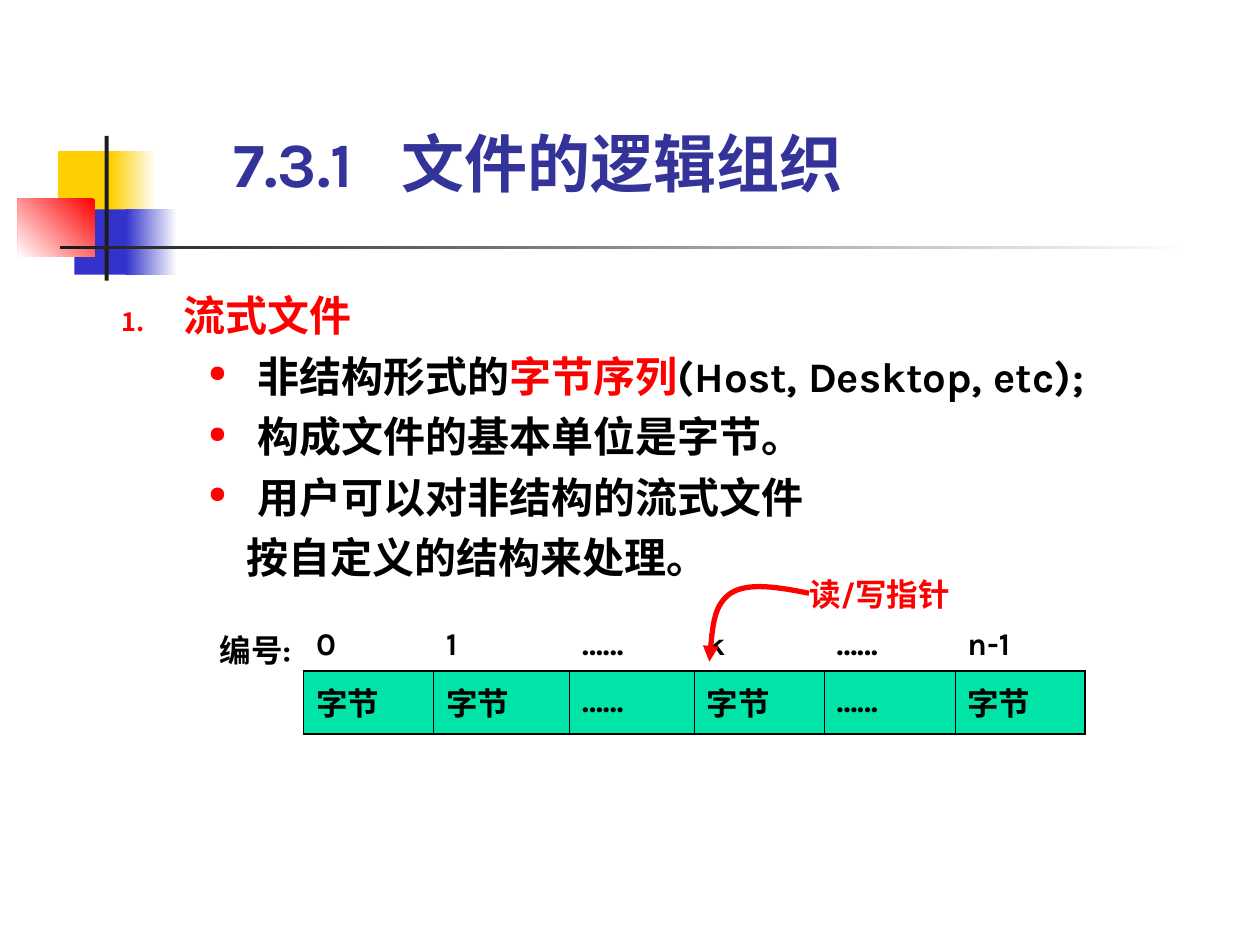
"""Build a slide on the logical organisation of stream files."""
from lxml import etree
from pptx import Presentation
from pptx.dml.color import RGBColor
from pptx.enum.shapes import MSO_SHAPE
from pptx.enum.text import MSO_ANCHOR, PP_ALIGN
from pptx.oxml.ns import qn
from pptx.util import Cm, Pt

RECTANGLE = MSO_SHAPE.RECTANGLE
TOP, MIDDLE, BOTTOM = MSO_ANCHOR.TOP, MSO_ANCHOR.MIDDLE, MSO_ANCHOR.BOTTOM
LEFT, RIGHT = PP_ALIGN.LEFT, PP_ALIGN.RIGHT

WHITE = RGBColor(0xFF, 0xFF, 0xFF)
BLACK = RGBColor(0x00, 0x00, 0x00)
RED = RGBColor(0xFF, 0x00, 0x00)
YELLOW = RGBColor(0xFF, 0xCF, 0x01)
BLUE = RGBColor(0x33, 0x33, 0xCC)
INDIGO = RGBColor(0x33, 0x33, 0x99)
CHARCOAL = RGBColor(0x1C, 0x1C, 0x1C)
GREEN = RGBColor(0x00, 0xE4, 0xA8)

FONT = "Karla"
OUTER, INNER = Pt(1.08), Pt(0.45)


def add_element(parent, tag, **attributes):
    element = etree.SubElement(parent, qn(tag))
    for name, value in attributes.items():
        element.set(name, str(value))
    return element


class SlideBuilder:
    def __init__(self, slide, font):
        self.slide = slide
        self.font = font

    def rectangle(self, box, colors, angle=180):
        shape = self.slide.shapes.add_shape(RECTANGLE, *map(Cm, box))
        shape.shadow.inherit = False
        shape.line.fill.background()
        if len(colors) == 1:
            shape.fill.solid()
            shape.fill.fore_color.rgb = colors[0]
        else:
            shape.fill.gradient()
            shape.fill.gradient_angle = angle
            for stop, color in zip(shape.fill.gradient_stops, colors):
                stop.color.rgb = color

    def text_box(self, box, anchor=TOP):
        text_frame = self.slide.shapes.add_textbox(*map(Cm, box)).text_frame
        text_frame.word_wrap = True
        text_frame.vertical_anchor = anchor
        text_frame.margin_left = text_frame.margin_right = 0
        text_frame.margin_top = text_frame.margin_bottom = 0
        return text_frame

    def paragraph(self, paragraph, parts, size, spacing=1.0):
        paragraph.line_spacing = spacing
        for text, color in parts:
            run = paragraph.add_run()
            run.text = text
            self.format_run(run, size, color)

    def format_run(self, run, size, color):
        run.font.name = self.font
        run.font.size = Pt(size)
        run.font.bold = True
        run.font.color.rgb = color

    def indent(self, paragraph, margin, hanging=0, bullet=None, size=100):
        properties = paragraph._p.get_or_add_pPr()
        properties.set("marL", str(Cm(margin)))
        properties.set("indent", str(Cm(-hanging)))
        if bullet is None:
            add_element(properties, "a:buNone")
            return
        color = add_element(properties, "a:buClr")
        add_element(color, "a:srgbClr", val=RED)
        add_element(properties, "a:buSzPct", val=size * 1000)
        if bullet == "1.":
            add_element(properties, "a:buAutoNum", type="arabicPeriod")
        else:
            add_element(properties, "a:buChar", char=bullet)

    def tab(self, paragraph, position):
        tabs = add_element(paragraph._p.get_or_add_pPr(), "a:tabLst")
        add_element(tabs, "a:tab", pos=Cm(position), algn="l")

    def table(self, left, top, widths, heights, rows):
        table = self.slide.shapes.add_table(
            len(rows), len(widths), Cm(left), Cm(top),
            Cm(sum(widths)), Cm(sum(heights))).table
        table.first_row = table.horz_banding = False
        for column, width in zip(table.columns, widths):
            column.width = Cm(width)
        for row, height in zip(table.rows, heights):
            row.height = Cm(height)
        for row_index, texts in enumerate(rows):
            for column_index, text in enumerate(texts):
                cell = table.cell(row_index, column_index)
                self.borders(cell, row_index, column_index, len(widths) - 1)
                self.cell(cell, text, row_index, column_index)

    def cell(self, cell, text, row, column):
        if row and column:
            cell.fill.solid()
            cell.fill.fore_color.rgb = GREEN
        else:
            cell.fill.background()
        cell.vertical_anchor = MIDDLE if column else TOP
        cell.text_frame.text = text
        paragraph = cell.text_frame.paragraphs[0]
        paragraph.alignment = LEFT if column else RIGHT
        for run in paragraph.runs:
            self.format_run(run, 18, BLACK)

    def borders(self, cell, row, column, last):
        widths = dict.fromkeys(("a:lnL", "a:lnR", "a:lnT", "a:lnB"))
        if column:
            widths["a:lnB"] = OUTER
        if row and column:
            widths["a:lnT"] = OUTER
            widths["a:lnL"] = OUTER if column == 1 else INNER
            widths["a:lnR"] = OUTER if column == last else INNER
        elif row:
            widths["a:lnR"] = OUTER
        properties = cell._tc.get_or_add_tcPr()
        for tag, width in widths.items():
            line = add_element(properties, tag, w=width or 0)
            if width:
                fill = add_element(line, "a:solidFill")
                add_element(fill, "a:srgbClr", val=BLACK)
            else:
                add_element(line, "a:noFill")

    def curved_arrow(self, points, color, width):
        start, *others = [(Cm(x), Cm(y)) for x, y in points]
        builder = self.slide.shapes.build_freeform(*start)
        builder.add_line_segments(others, close=False)
        shape = builder.convert_to_shape()
        shape.shadow.inherit = False
        shape.fill.background()
        shape.line.color.rgb = color
        shape.line.width = Pt(width)
        add_element(shape.line._get_or_add_ln(), "a:tailEnd", type="triangle")
        outline = next(shape._element.iter(qn("a:path")))
        segments = outline.findall(qn("a:lnTo"))
        for first in range(0, len(segments), 3):
            curve = add_element(outline, "a:cubicBezTo")
            for segment in segments[first:first + 3]:
                curve.append(segment[0])
                outline.remove(segment)


def main():
    presentation = Presentation()
    presentation.slide_width, presentation.slide_height = Cm(25.4), Cm(19.05)
    slide = presentation.slides.add_slide(presentation.slide_layouts[6])
    builder = SlideBuilder(slide, FONT)

    builder.rectangle((1.17, 3.05, 1.22, 1.32), [YELLOW])
    builder.rectangle((2.24, 3.05, 0.91, 1.32), [WHITE, YELLOW])
    builder.rectangle((1.5, 4.22, 1.17, 1.32), [BLUE])
    builder.rectangle((2.54, 4.22, 1.02, 1.32), [WHITE, BLUE])
    builder.rectangle((0.36, 4.01, 1.55, 1.17), [RED, WHITE], angle=225)
    builder.rectangle((2.11, 2.74, 0.08, 2.92), [CHARCOAL])
    builder.rectangle((1.22, 4.95, 22.86, 0.08), [WHITE, CHARCOAL])

    title = builder.text_box((4.7, 2.51, 14.2, 1.52), BOTTOM).paragraphs[0]
    builder.tab(title, 3.4)
    builder.paragraph(title, [("7.3.1\t文件的逻辑组织", INDIGO)], 36)

    numbered = (1.24, 1.24, "1.", 60)
    bulleted = (2.74, 1, "●", 55)
    lines = [
        (numbered, [("流式文件", RED)]),
        (bulleted, [("非结构形式的", BLACK), ("字节序列", RED),
                    ("(Host, Desktop, etc);", BLACK)]),
        (bulleted, [("构成文件的基本单位是字节。", BLACK)]),
        (bulleted, [("用户可以对非结构的流式文件", BLACK)]),
        ((2.51,), [("按自定义的结构来处理。", BLACK)]),
    ]
    body = builder.text_box((2.46, 5.64, 21.23, 6.1))
    for index, (indent, parts) in enumerate(lines):
        paragraph = body.add_paragraph() if index else body.paragraphs[0]
        paragraph.level = min(index, 1)
        builder.indent(paragraph, *indent)
        builder.paragraph(paragraph, parts, 24, 1.2)

    builder.table(3.5, 12.5, [2.62, 2.62, 2.74, 2.51, 2.62, 2.64, 2.62],
                  [1.02, 1.27],
                  [["编号:", "0", "1", "……", "k", "……", "n-1"],
                   ["", "字节", "字节", "……", "字节", "……", "字节"]])

    pointer = builder.text_box((16.31, 11.73, 3, 1.22)).paragraphs[0]
    builder.paragraph(pointer, [("读/写指针", RED)], 18, 0.8)
    builder.curved_arrow([(16.31, 11.96), (15.7, 11.84), (15.09, 11.73),
                          (14.73, 11.96), (14.4, 12.19), (14.35, 12.75),
                          (14.3, 13.34)], RED, 3)
    presentation.save("out.pptx")


if __name__ == "__main__":
    main()
